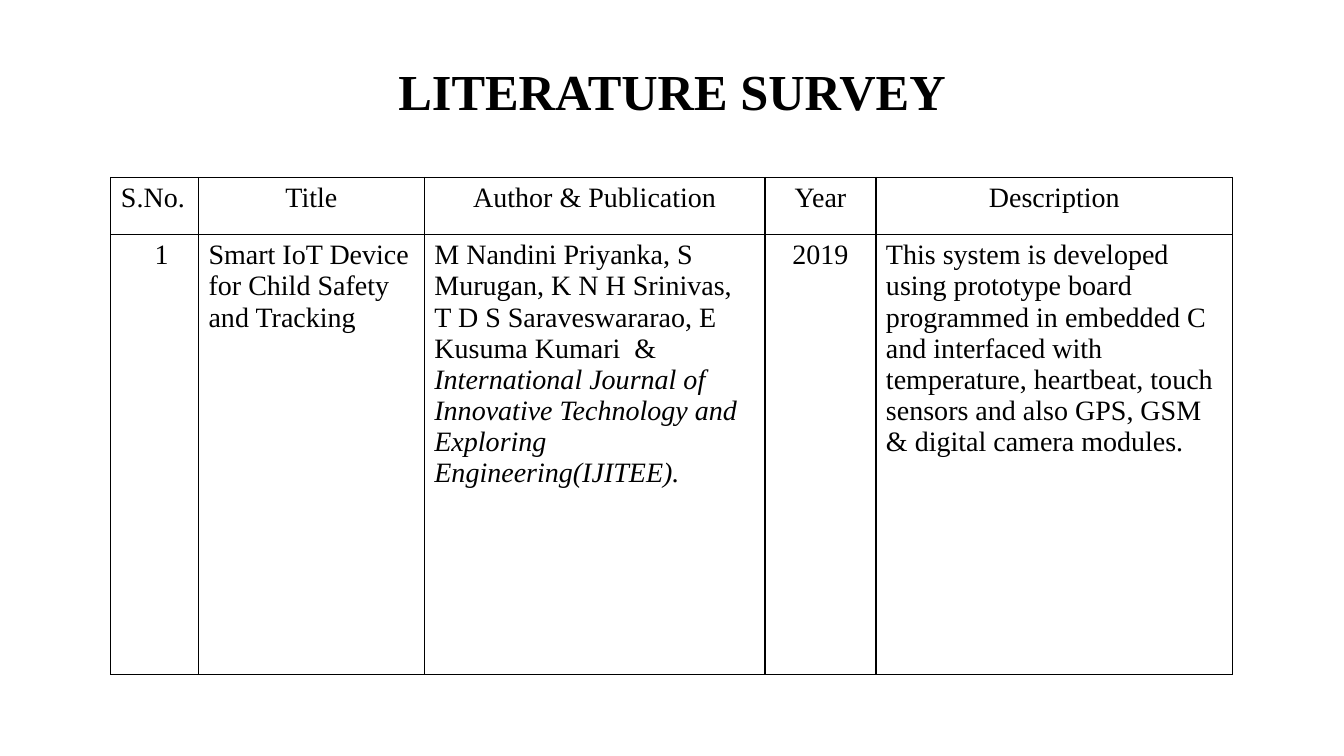
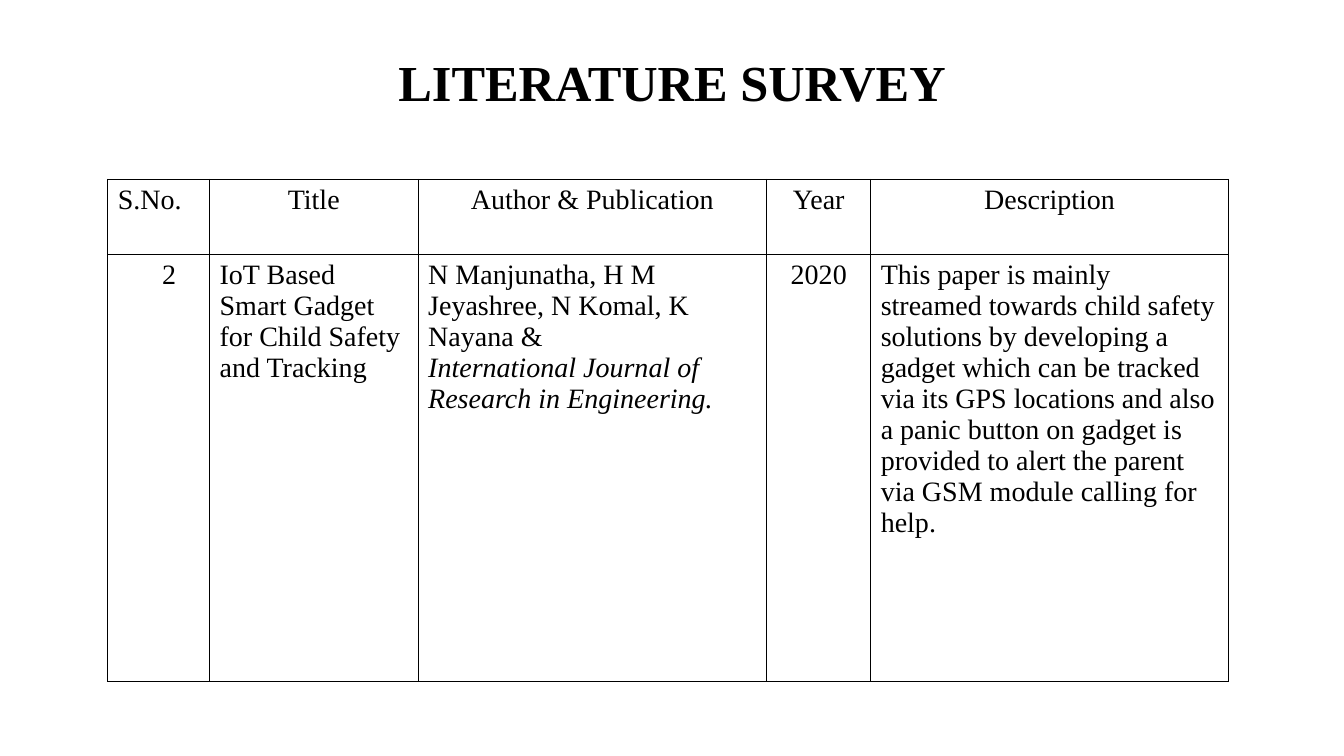
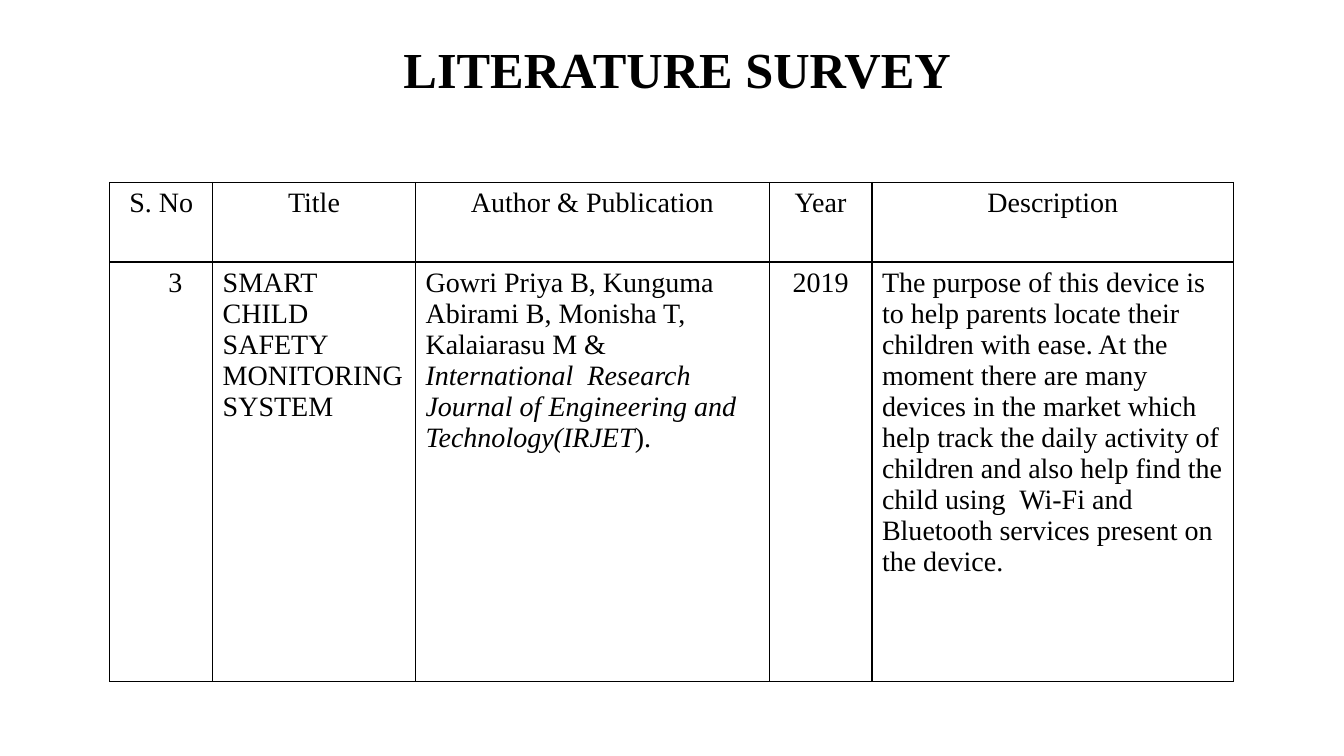
from dataclasses import dataclass
from lxml.etree import SubElement
from pptx import Presentation
from pptx.dml.color import RGBColor as Rgb
from pptx.enum.text import MSO_ANCHOR as Anchor, PP_ALIGN as Align
from pptx.oxml.ns import qn
from pptx.slide import Slide
from pptx.table import _Cell as Cell
from pptx.text.text import TextFrame as Frame
from pptx.util import Pt


@dataclass(frozen=True)
class Theme:
    font: str = "Times New Roman"
    ink: str = "000000"
    paper: str = "FFFFFF"
    head: float = 36
    body: float = 20
    rule: float = 1
    inset: float = 7.2


@dataclass(frozen=True)
class Box:
    left: float
    top: float
    width: float
    height: float


@dataclass(frozen=True)
class Paper:
    number: str
    title: str
    source: str
    year: str
    about: str


@dataclass(frozen=True)
class Page:
    head: Box
    left: float
    top: float
    cols: tuple[float, ...]
    rows: tuple[float, ...]
    paper: Paper
    label: str = "S.No."
    align: Align = Align.LEFT
    shift: float = 10


THEME = Theme()
HEADS = ("Title", "Author & Publication", "Year", "Description")

PAGES = (
    Page(
        Box(66.2, 28.8, 828, 76.3), 79.2, 126.7,
        (62.6, 161.3, 243.4, 79.2, 254.9), (41, 313.9),
        Paper(
            "1",
            "Smart IoT Device for Child Safety and Tracking",
            "M Nandini Priyanka, S Murugan, K N H Srinivas, "
            "T D S Saraveswararao, E Kusuma Kumari  &\n"
            "*International Journal of Innovative Technology and "
            "Exploring Engineering(IJITEE).*",
            "2019",
            "This system is developed using prototype board programmed in "
            "embedded C and interfaced with temperature, heartbeat, touch "
            "sensors and also GPS, GSM & digital camera modules.",
        ),
    ),
    Page(
        Box(66.2, 28.8, 828, 64.1), 77, 128.2,
        (72.7, 149, 249.1, 74.2, 255.6), (53.3, 305.3),
        Paper(
            "2",
            "IoT Based Smart Gadget for Child Safety and Tracking",
            "N Manjunatha, H M Jeyashree, N Komal, K Nayana &\n"
            "*International Journal of Research in Engineering.*",
            "2020",
            "This paper is mainly streamed towards child safety solutions by "
            "developing a gadget which can be tracked via its GPS locations "
            "and also a panic button on gadget is provided to alert the "
            "parent via GSM module calling for help.",
        ),
        shift=15,
    ),
    Page(
        Box(69.8, 15.1, 828, 73.4), 78.5, 130.3,
        (73.4, 144.9, 252.7, 73.4, 258.5), (56.9, 299.5),
        Paper(
            "3",
            "SMART CHILD SAFETY MONITORING SYSTEM",
            "Gowri Priya B, Kunguma Abirami B, Monisha T, Kalaiarasu M & "
            "*International  Research Journal of Engineering and "
            "Technology(IRJET*).",
            "2019",
            "The purpose of this device is to help parents locate their "
            "children with ease. At the moment there are many devices in the "
            "market which help track the daily activity of children and also "
            "help find the child using  Wi-Fi and Bluetooth services present "
            "on the device.",
        ),
        label="S. No",
        align=Align.CENTER,
        shift=20,
    ),
)


def write(frame: Frame, text: str, *, size: float = THEME.body,
          bold: bool = False, align: Align = Align.LEFT,
          space: float = 1) -> None:
    frame.word_wrap = True
    for row, line in enumerate(text.split("\n")):
        para = frame.add_paragraph() if row else frame.paragraphs[0]
        para.alignment = align
        para.line_spacing = space
        for turn, part in enumerate(line.split("*")):
            if not part:
                continue
            run = para.add_run()
            run.text = part
            run.font.name = THEME.font
            run.font.size = Pt(size)
            run.font.bold = bold
            run.font.italic = turn % 2 == 1
            run.font.color.rgb = Rgb.from_string(THEME.ink)


def edge(cell: Cell) -> None:
    props = cell._tc.get_or_add_tcPr()
    for side in ("a:lnL", "a:lnR", "a:lnT", "a:lnB"):
        line = SubElement(props, qn(side), w=str(Pt(THEME.rule)))
        fill = SubElement(line, qn("a:solidFill"))
        SubElement(fill, qn("a:srgbClr"), val=THEME.ink)
    cell.fill.background()


def title(slide: Slide, box: Box) -> None:
    shape = slide.shapes.add_textbox(
        Pt(box.left), Pt(box.top), Pt(box.width), Pt(box.height))
    shape.text_frame.vertical_anchor = Anchor.MIDDLE
    write(shape.text_frame, "LITERATURE SURVEY", size=THEME.head, bold=True,
          align=Align.CENTER, space=0.9)


def survey(slide: Slide, page: Page) -> None:
    paper = page.paper
    texts = (
        (page.label, *HEADS),
        (paper.number, paper.title, paper.source, paper.year, paper.about),
    )
    mid, left = Align.CENTER, Align.LEFT
    aligns = ((page.align, mid, mid, mid, mid), (mid, left, left, mid, left))
    grid = slide.shapes.add_table(
        len(page.rows), len(page.cols), Pt(page.left), Pt(page.top),
        Pt(sum(page.cols)), Pt(sum(page.rows))).table
    grid.first_row = grid.horz_banding = False
    for col, width in zip(grid.columns, page.cols):
        col.width = Pt(width)
    for row, height in enumerate(page.rows):
        grid.rows[row].height = Pt(height)
        for col, text in enumerate(texts[row]):
            cell = grid.cell(row, col)
            edge(cell)
            write(cell.text_frame, text, align=aligns[row][col])
    grid.cell(1, 0).margin_left = Pt(THEME.inset + page.shift)


def main() -> None:
    deck = Presentation()
    deck.slide_width, deck.slide_height = Pt(960), Pt(540)
    back = deck.slide_master.background.fill
    back.solid()
    back.fore_color.rgb = Rgb.from_string(THEME.paper)
    for page in PAGES:
        slide = deck.slides.add_slide(deck.slide_layouts[6])
        title(slide, page.head)
        survey(slide, page)
    deck.save("out.pptx")


main()
